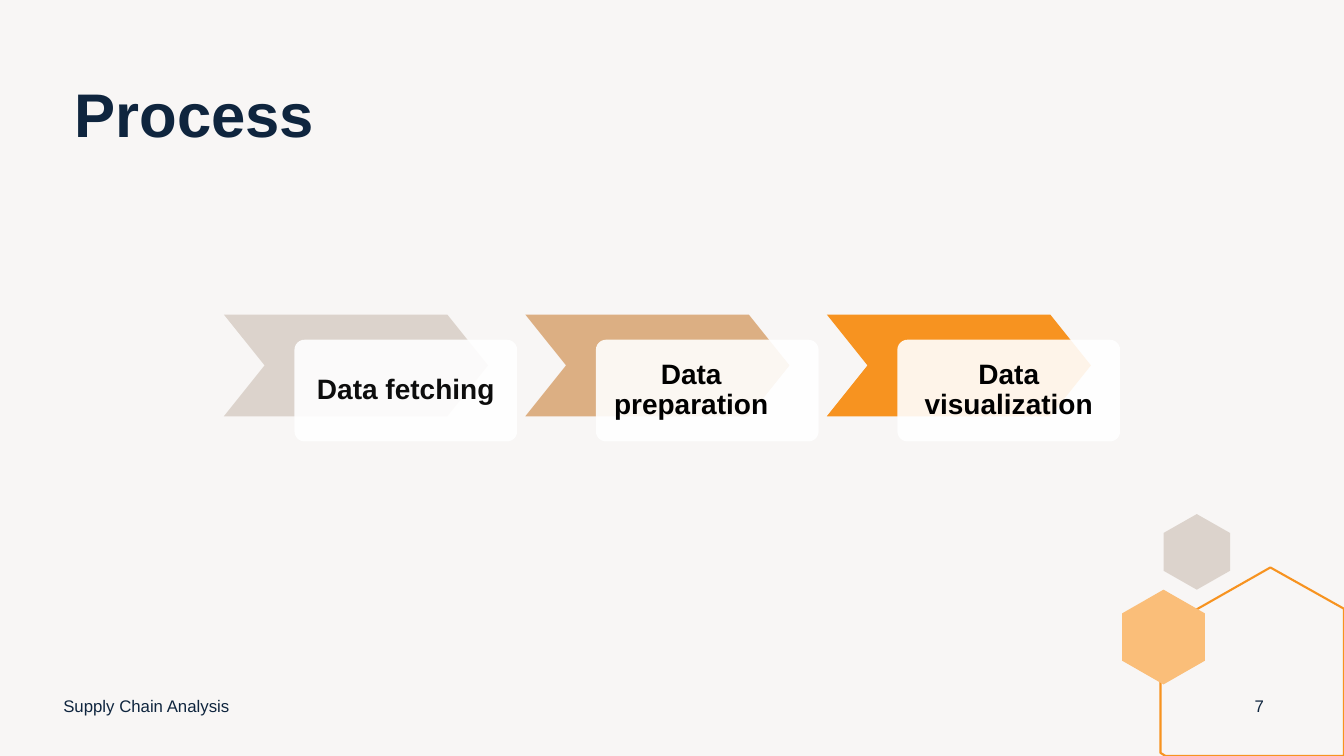
import pptx
import pptx.dml.color
import pptx.enum.shapes
import pptx.enum.text
import pptx.oxml
import pptx.oxml.ns
import pptx.util

Inches = pptx.util.Inches
Anchor = pptx.enum.text.MSO_ANCHOR
Align = pptx.enum.text.PP_ALIGN
Shape = pptx.enum.shapes.MSO_SHAPE

COLORS = {
    "background": "F8F6F5",
    "navy": "0F253E",
    "stone": "DCD3CC",
    "tan": "DCAF83",
    "orange": "F79320",
    "apricot": "FABE79",
    "white": "FFFFFF",
    "charcoal": "0D0D0D",
    "black": "000000",
}
INSETS = (0.1, 0.05, 0.1, 0.05)
LABEL_INSETS = (0.16, 0.16, 0.16, 0.16)
# The middle label sits left of the centre of its card.
SHIFTED_INSETS = (0, 0.16, 0.32, 0.16)

STEPS = [
    ("Data fetching", "stone", "charcoal", LABEL_INSETS),
    ("Data preparation", "tan", "black", SHIFTED_INSETS),
    ("Data visualization", "orange", "black", LABEL_INSETS),
]
STEP_LEFT, STEP_TOP, STEP_PITCH = 2.22, 3.12, 2.99


def rgb(name):
    return pptx.dml.color.RGBColor.from_string(COLORS[name])


def set_attributes(target, values):
    for name, value in values.items():
        setattr(target, name, value)


class SlideBuilder:
    def __init__(self, slide, font_name):
        self.slide = slide
        self.font_name = font_name

    def background(self, color):
        fill = self.slide.background.fill
        fill.solid()
        fill.fore_color.rgb = rgb(color)

    def paint(self, shape, fill=None, line=None, opacity=100):
        shape.shadow.inherit = False
        if fill:
            shape.fill.solid()
            shape.fill.fore_color.rgb = rgb(fill)
        else:
            shape.fill.background()
        if line:
            shape.line.color.rgb = rgb(line)
            shape.line.width = pptx.util.Pt(1.5)
        else:
            shape.line.fill.background()
        if opacity < 100:
            color = shape.fill._xPr.find(".//" + pptx.oxml.ns.qn("a:srgbClr"))
            alpha = pptx.oxml.parse_xml(
                f'<a:alpha {pptx.oxml.ns.nsdecls("a")} val="{opacity * 1000}"/>')
            color.append(alpha)

    def preset(self, kind, box, adjustment, fill, opacity=100):
        shape = self.slide.shapes.add_shape(kind, *map(Inches, box))
        shape.adjustments[0] = adjustment
        self.paint(shape, fill, opacity=opacity)

    def polygon(self, points, fill=None, line=None):
        corners = [(Inches(x), Inches(y)) for x, y in points]
        builder = self.slide.shapes.build_freeform(*corners[0])
        builder.add_line_segments(corners[1:], close=True)
        self.paint(builder.convert_to_shape(), fill, line)

    def hexagon(self, left, top, width, height, fill):
        """Draw a hexagon that stands on a corner."""
        middle, right = left + width / 2, left + width
        upper, lower = top + height / 4, top + height * 3 / 4
        self.polygon([(middle, top), (right, upper), (right, lower),
                      (middle, top + height), (left, lower), (left, upper)], fill)

    def text(self, words, box, size, color="navy", bold=False, spacing=1.0,
             align=Align.LEFT, anchor=Anchor.MIDDLE, insets=INSETS):
        frame = self.slide.shapes.add_textbox(*map(Inches, box)).text_frame
        sides = ("margin_left", "margin_top", "margin_right", "margin_bottom")
        set_attributes(frame, dict(zip(sides, map(Inches, insets))))
        set_attributes(frame, {"word_wrap": True, "vertical_anchor": anchor})
        paragraph = frame.paragraphs[0]
        set_attributes(paragraph, {"alignment": align, "line_spacing": spacing})
        run = paragraph.add_run()
        run.text = words
        set_attributes(run.font, {"name": self.font_name, "bold": bold,
                                  "size": pptx.util.Pt(size)})
        run.font.color.rgb = rgb(color)

    def step(self, left, top, words, fill, color, insets):
        """Draw a chevron with a labelled card over its lower right part."""
        self.preset(Shape.CHEVRON, (left, top, 2.62, 1.01), 0.4, fill)
        self.preset(Shape.ROUNDED_RECTANGLE, (left + 0.7, top + 0.25, 2.21, 1.01),
                    0.1, "white", opacity=90)
        self.text(words, (left + 0.73, top + 0.28, 2.15, 0.95), 20, color,
                  bold=True, spacing=0.9, align=Align.CENTER, insets=insets)


def main():
    presentation = pptx.Presentation()
    presentation.slide_width = Inches(13.33)
    presentation.slide_height = Inches(7.5)
    slide = presentation.slides.add_slide(presentation.slide_layouts[6])
    builder = SlideBuilder(slide, "Arial")

    builder.background("background")
    builder.hexagon(11.54, 5.1, 0.66, 0.75, "stone")
    builder.polygon([(12.6, 5.63), (13.33, 6.04), (13.33, 7.5),
                     (11.56, 7.5), (11.51, 7.47), (11.51, 6.25)], line="orange")
    builder.hexagon(11.13, 5.85, 0.82, 0.94, "apricot")

    builder.text("Process", (0.64, 0.79, 11.91, 0.82), 44, bold=True,
                 spacing=0.9, anchor=Anchor.TOP)
    builder.text("Supply Chain Analysis", (0.53, 6.8, 4.5, 0.4), 12)
    builder.text("7", (12.24, 6.8, 0.5, 0.4), 12, align=Align.CENTER)

    for index, step in enumerate(STEPS):
        builder.step(STEP_LEFT + index * STEP_PITCH, STEP_TOP, *step)

    presentation.save("out.pptx")


if __name__ == "__main__":
    main()
